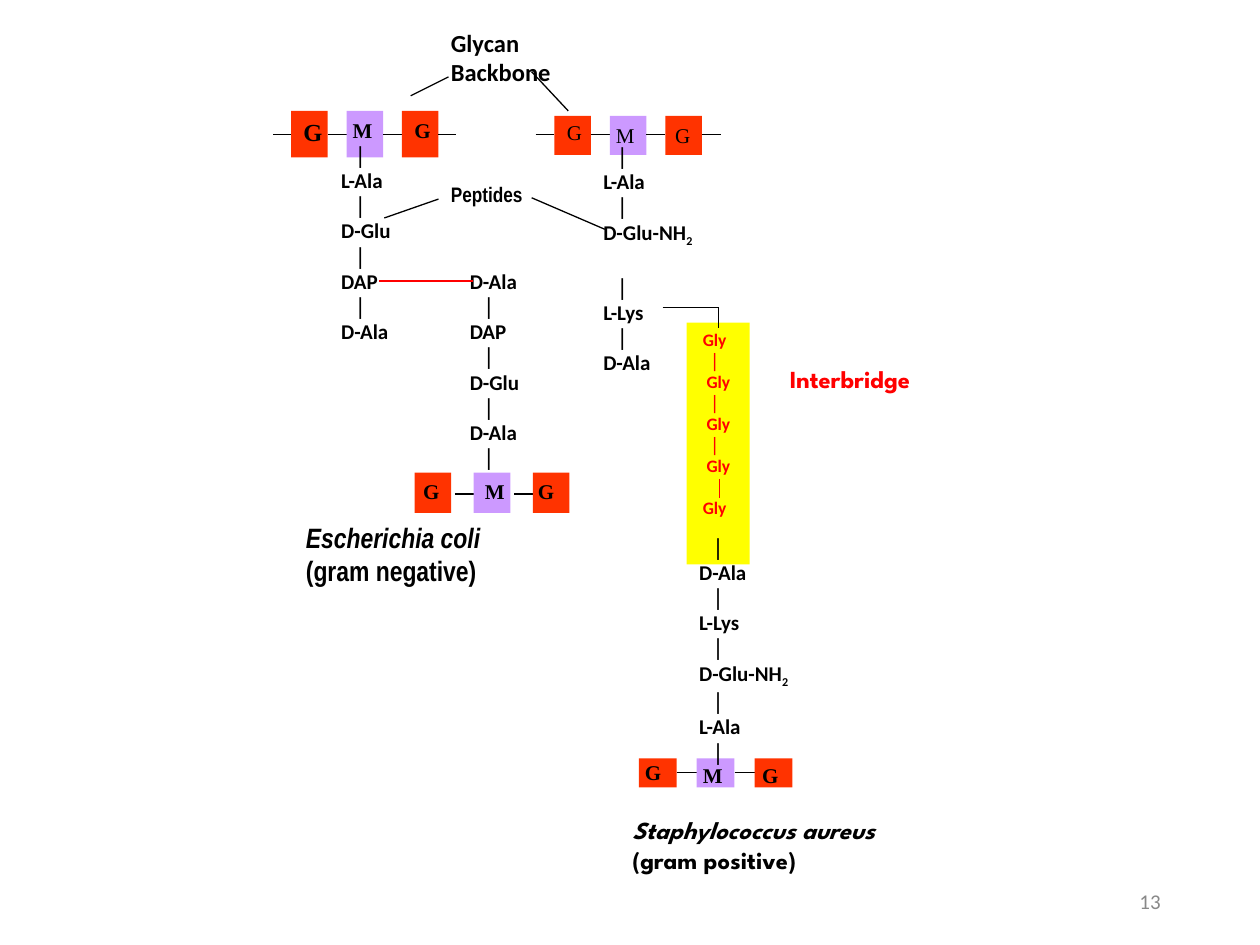
from lxml import etree
from pptx import Presentation
from pptx.dml.color import RGBColor
from pptx.enum.shapes import MSO_CONNECTOR, MSO_SHAPE
from pptx.enum.text import MSO_ANCHOR, PP_ALIGN
from pptx.oxml.ns import qn
from pptx.util import Pt

PX = 9144  # EMU per px, 100 px to the inch
STRAIGHT = MSO_CONNECTOR.STRAIGHT
RECTANGLE = MSO_SHAPE.RECTANGLE
LEFT, RIGHT, JUSTIFY = PP_ALIGN.LEFT, PP_ALIGN.RIGHT, PP_ALIGN.JUSTIFY

BLACK = RGBColor(0x00, 0x00, 0x00)
RED = RGBColor(0xFF, 0x00, 0x00)
ORANGE = RGBColor(0xFF, 0x33, 0x00)
LILAC = RGBColor(0xCC, 0x99, 0xFF)
YELLOW = RGBColor(0xFF, 0xFF, 0x00)
GREY = RGBColor(0x89, 0x89, 0x89)

SANS, SERIF = "Calibri", "Times New Roman"
NARROW, DISPLAY = "Arial Narrow", "League Spartan"
BAR = "│"


def emu(*lengths):
    return [length * PX for length in lengths]


def add_line(slide, x1, y1, x2, y2, color=BLACK):
    line = slide.shapes.add_connector(STRAIGHT, *emu(x1, y1, x2, y2))
    line.line.color.rgb = color
    line.line.width = Pt(0.75)
    etree.SubElement(line._element.spPr, qn("a:effectLst"))


def add_block(slide, box, fill):
    block = slide.shapes.add_shape(RECTANGLE, *emu(*box))
    block.shadow.inherit = False
    block.fill.solid()
    block.fill.fore_color.rgb = fill
    block.line.fill.background()
    return block


def style_run(run, font, size, color=BLACK, bold=True, italic=False):
    run.font.name = font
    run.font.size = Pt(size)
    run.font.color.rgb = color
    run.font.bold = bold
    run.font.italic = italic


def write_lines(frame, lines, font, size, color=BLACK, bold=True, align=LEFT):
    frame.word_wrap = True
    frame.vertical_anchor = MSO_ANCHOR.TOP
    frame.text = "\n".join(lines)
    for paragraph in frame.paragraphs:
        paragraph.alignment = align
        for run in paragraph.runs:
            style_run(run, font, size, color, bold)
    return frame


def add_label(slide, box, lines, font, size, **style):
    label = slide.shapes.add_textbox(*emu(*box))
    return write_lines(label.text_frame, lines, font, size, **style)


def set_indent(paragraph, px):
    properties = paragraph._p.get_or_add_pPr()
    properties.set("marL", str(px * PX))
    properties.set("indent", "0")


def glycan_row(slide, box, pitch, bond_y, offsets, sizes=(12, 12, 12),
               bold=True, bond_gap=0, tail=0):
    """G-M-G tiles joined by bonds; box is that of the first tile."""
    x, y, width, height = box
    for i, (letter, fill) in enumerate(zip("GMG", (ORANGE, LILAC, ORANGE))):
        tile_x = x + i * pitch
        add_block(slide, (tile_x, y, width, height), fill)
        if i < 2:
            add_line(slide, tile_x + width + bond_gap, bond_y,
                     tile_x + pitch, bond_y)
        dx, dy = offsets[i]
        add_label(slide, (tile_x + dx, y + dy, 44, height), [letter],
                  SERIF, sizes[i], bold=bold)
    if tail:
        end = x + 2 * pitch + width
        add_line(slide, x - tail, bond_y, x, bond_y)
        add_line(slide, end, bond_y, end + tail, bond_y)


def peptide_chain(slide, box, residues, first_bar=True, last_bar=False,
                  gap_after_amide=0):
    """Residues stacked with a bar between each two."""
    lines = [BAR] if first_bar else []
    for residue in residues:
        lines += [residue, BAR]
    if not last_bar:
        lines.pop()
    frame = add_label(slide, box, lines, SANS, 12)
    for paragraph in frame.paragraphs:
        if paragraph.text == BAR:
            set_indent(paragraph, 11)
        elif paragraph.text.endswith("2"):
            paragraph.runs[0].text = paragraph.text[:-1]
            subscript = paragraph.add_run()
            subscript.text = "2"
            style_run(subscript, SANS, 12)
            subscript.font._element.set("baseline", "-25000")
            paragraph.space_after = Pt(gap_after_amide)


def interbridge(slide, box):
    """Yellow pentaglycine block with its link from L-Lys."""
    x, y, width, _ = box
    lines = ["Gly", BAR] * 3 + ["Gly", "Gly"]
    frame = write_lines(add_block(slide, box, YELLOW).text_frame,
                        lines, SANS, 10, color=RED)
    last = len(lines) - 1
    for i, paragraph in enumerate(frame.paragraphs):
        end = i in (0, last)
        set_indent(paragraph, 9 if paragraph.text == BAR else 3 if end else 6)
    frame.paragraphs[last].space_before = Pt(12)
    add_line(slide, x + 26, y + 124, x + 26, y + 139, RED)
    add_line(slide, x - 19, y - 12, x + 25, y - 12)
    add_line(slide, x + 25, y - 12, x + 25, y + 4)
    add_label(slide, (x + width + 22, y + 28, 128, 47), ["Interbridge"],
              DISPLAY, 14, color=RED, align=JUSTIFY)


def species_name(slide, box, name, stain, font, size):
    frame = add_label(slide, box, [name, stain], font, size)
    frame.paragraphs[0].runs[0].font.italic = True


def gram_negative(slide, x, y):
    glycan_row(slide, (x, y, 29, 37), 44, y + 19, ((0, 0), (-5, 0), (0, 0)),
               sizes=(14, 12, 12), tail=14)
    peptide_chain(slide, (x + 30, y + 20, 103, 182),
                  ["L-Ala", "D-Glu", "DAP", "D-Ala"])
    peptide_chain(slide, (x + 132, y + 120, 88, 174),
                  ["D-Ala", "DAP", "D-Glu", "D-Ala"],
                  first_bar=False, last_bar=True)
    add_line(slide, x + 70, y + 135, x + 144, y + 135, RED)
    glycan_row(slide, (x + 98, y + 287, 29, 32), 47, y + 304,
               ((-3, 0), (-1, 0), (-6, 0)), bond_gap=3)
    species_name(slide, (x + 2, y + 320, 190, 62), "Escherichia coli",
                 "(gram negative)", NARROW, 16)


def gram_positive(slide, x, y):
    interbridge(slide, (x + 105, y + 164, 50, 192))
    glycan_row(slide, (x, y, 29, 31), 44, y + 15, ((0, -2), (-5, 0), (-2, 0)),
               bold=False, tail=15)
    peptide_chain(slide, (x + 29, y + 17, 120, 182),
                  ["L-Ala", "D-Glu-NH2", "L-Lys", "D-Ala"],
                  gap_after_amide=15)
    glycan_row(slide, (x + 67, y + 510, 30, 23), 46, y + 521,
               ((-5, -4), (-5, -2), (-4, -2)))
    peptide_chain(slide, (x + 105, y + 327, 132, 250),
                  ["D-Ala", "L-Lys", "D-Glu-NH2", "L-Ala"], last_bar=True)
    species_name(slide, (x + 52, y + 550, 250, 47), "Staphylococcus aureus",
                 "(gram positive)", DISPLAY, 14)


def shared_labels(slide, x, y):
    """Names of the backbone and peptides, each with two leader lines."""
    add_label(slide, (x, y, 117, 62), ["Glycan Backbone"], SANS, 14,
              align=JUSTIFY)
    add_line(slide, x + 8, y + 44, x - 22, y + 59)
    add_line(slide, x + 74, y + 40, x + 103, y + 71)
    add_label(slide, (x, y + 122, 103, 47), ["Peptides"], NARROW, 12,
              align=JUSTIFY)
    add_line(slide, x, y + 141, x - 43, y + 156)
    add_line(slide, x + 74, y + 140, x + 132, y + 165)


def page_number(slide, box):
    frame = add_label(slide, box, ["13"], SANS, 12, color=GREY, bold=False,
                      align=RIGHT)
    frame.vertical_anchor = MSO_ANCHOR.MIDDLE


def main():
    deck = Presentation()
    deck.slide_width, deck.slide_height = emu(1000, 750)
    slide = deck.slides.add_slide(deck.slide_layouts[6])
    gram_negative(slide, 231, 88)
    gram_positive(slide, 440, 92)
    shared_labels(slide, 348, 17)
    page_number(slide, (706, 695, 225, 40))
    deck.save("out.pptx")


if __name__ == "__main__":
    main()
